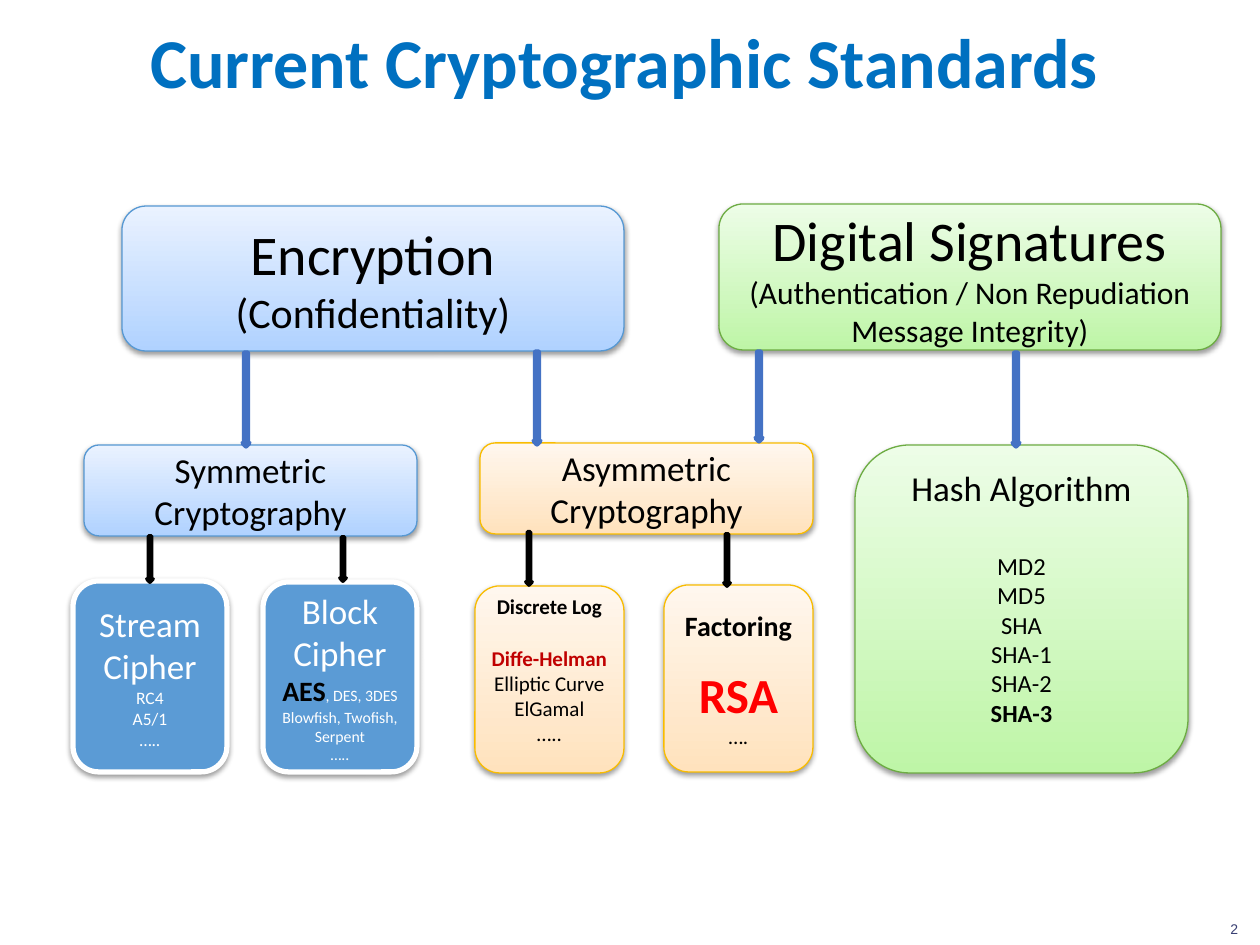
from dataclasses import dataclass

from lxml import etree
from pptx import Presentation
from pptx.dml.color import RGBColor
from pptx.enum.shapes import MSO_SHAPE
from pptx.enum.text import MSO_ANCHOR, MSO_AUTO_SIZE, PP_ALIGN
from pptx.oxml.ns import qn
from pptx.util import Emu, Pt

ROUND = MSO_SHAPE.ROUNDED_RECTANGLE
ARROW = MSO_SHAPE.DOWN_ARROW
TOP, MIDDLE = MSO_ANCHOR.TOP, MSO_ANCHOR.MIDDLE
CENTER, LEFT = PP_ALIGN.CENTER, PP_ALIGN.LEFT
FIXED = MSO_AUTO_SIZE.NONE
SCALE = 914400 / 126


@dataclass(frozen=True)
class Theme:
    font: str = "Calibri"
    mono: str = "Arial"
    title: str = "0070C0"
    ink: str = "000000"
    pale: str = "FFFFFF"
    deep: str = "C00000"
    red: str = "FF0000"
    page: str = "394073"
    edge: str = "4472C4"
    # Box styles: bottom fill, top fill, line, line width, side inset, top inset
    blue: tuple = ("B0D2FF", "EAF2FF", "5698D3", 0.75, 8, 4)
    green: tuple = ("BEF5A7", "EDFDE7", "6DAC43", 0.75, 8, 4)
    gold: tuple = ("FFE2BD", "FFF7EE", "F9BC00", 0.75, 8, 4)
    solid: tuple = ("5B9BD5", "5B9BD5", "FFFFFF", 3, 10, 5)
    huge: int = 40
    head: int = 32
    mark: int = 28
    sub: int = 24
    body: int = 20
    note: int = 18
    key: int = 16
    item: int = 14
    small: int = 12
    tiny: int = 10
    least: int = 9
    foot: int = 8


T = Theme()


@dataclass(frozen=True)
class Line:
    text: str
    size: int
    color: str = T.ink
    bold: bool = False
    gap: int = 0
    tail: tuple = ()


def px(num):
    return Emu(round(num * SCALE))


def rgb(code):
    return RGBColor.from_string(code)


def style(run, size, color, bold=False, face=T.font):
    font = run.font
    font.name, font.size, font.bold = face, Pt(size), bold
    font.color.rgb = rgb(color)


def write(frame, lines, align=CENTER, face=T.font):
    frame.word_wrap = True
    frame.text = "\n".join(line.text for line in lines)
    for para, line in zip(frame.paragraphs, lines):
        para.alignment = align
        if line.gap:
            para.space_before = Pt(line.gap)
        style(para.runs[0], line.size, line.color, line.bold, face)
        for part in line.tail:
            run = para.add_run()
            run.text = part.text
            style(run, part.size, part.color, part.bold, face)


def inset(frame, side, top, low):
    frame.margin_left = frame.margin_right = px(side)
    frame.margin_top, frame.margin_bottom = px(top), px(low)


def shade(shape):
    """Give the shape a soft shadow below it."""
    shape.shadow.inherit = False
    effects = shape._element.spPr.find(qn("a:effectLst"))
    outer = etree.SubElement(
        effects, qn("a:outerShdw"), blurRad=str(Pt(3.1)), dist=str(Pt(1.6)),
        dir="5400000", rotWithShape="0")
    color = etree.SubElement(outer, qn("a:srgbClr"), val=T.ink)
    etree.SubElement(color, qn("a:alpha"), val="38000")


def add_box(slide, area, look, lines, extra=0):
    """Draw a rounded box; extra lifts its text by adding room below."""
    low, high, edge, width, side, top = look
    box = slide.shapes.add_shape(ROUND, *map(px, area))
    if low == high:
        box.fill.solid()
        box.fill.fore_color.rgb = rgb(low)
    else:
        box.fill.gradient()
        box.fill.gradient_angle = 90
        for stop, code, place in zip(box.fill.gradient_stops, (low, high), (0, 1)):
            stop.color.rgb, stop.position = rgb(code), place
    box.line.color.rgb, box.line.width = rgb(edge), Pt(width)
    shade(box)
    frame = box.text_frame
    frame.vertical_anchor = MIDDLE
    inset(frame, side, top, top + extra)
    write(frame, lines)


def add_arrow(slide, left, top, height, fill, edge, width):
    arrow = slide.shapes.add_shape(ARROW, px(left), px(top), px(6), px(height))
    arrow.shadow.inherit = False
    arrow.fill.solid()
    arrow.fill.fore_color.rgb = rgb(fill)
    arrow.line.color.rgb, arrow.line.width = rgb(edge), Pt(width)


def add_title(slide, text):
    title = slide.shapes.title
    title.left, title.top, title.width, title.height = map(px, (19, 13, 1210, 73))
    frame = title.text_frame
    frame.auto_size, frame.vertical_anchor = FIXED, TOP
    inset(frame, 10, 5, 5)
    write(frame, [Line(text, T.huge, T.title, True)])


def add_page(slide, text):
    box = slide.shapes.add_textbox(*map(px, (1218, 914, 42, 30)))
    write(box.text_frame, [Line(text, T.foot, T.page)], LEFT, T.mono)


def add_boxes(slide):
    add_box(slide, (122, 206, 502, 145), T.blue, [
        Line("Encryption", T.head), Line("(Confidentiality)", T.sub)])
    add_box(slide, (719, 204, 502, 146), T.green, [
        Line("Digital Signatures", T.head),
        Line("(Authentication / Non Repudiation", T.note),
        Line("Message Integrity)", T.note)])
    add_box(slide, (84, 445, 333, 91), T.blue, [
        Line("Symmetric Cryptography", T.body)])
    add_box(slide, (480, 443, 333, 91), T.gold, [
        Line("Asymmetric Cryptography", T.body)])
    hashes = ["MD2", "MD5", "SHA", "SHA-1", "SHA-2", "SHA-3"]
    add_box(slide, (855, 445, 333, 328), T.green, [
        Line("Hash Algorithm", T.body),
        *(Line(name, T.item, bold=name == hashes[-1],
               gap=24 if name == hashes[0] else 0) for name in hashes)], 24)
    add_box(slide, (73, 581, 154, 191), T.solid, [
        Line("Stream Cipher", T.body, T.pale),
        *(Line(name, T.tiny, T.pale) for name in ("RC4", "A5/1", "…..")),
    ])
    add_box(slide, (263, 582, 154, 190), T.solid, [
        Line("Block Cipher", T.body, T.pale),
        Line("AES", T.key, bold=True,
             tail=(Line(", DES, 3DES", T.least, T.pale),)),
        Line("Blowfish, Twofish, Serpent", T.least, T.pale),
        Line("…..", T.least, T.pale)])
    add_box(slide, (475, 586, 149, 187), T.gold, [
        Line("Discrete Log", T.small, bold=True),
        Line("Diffe-Helman", T.small, T.deep, True, 15),
        *(Line(name, T.small) for name in ("Elliptic Curve", "ElGamal", "….."))],
        19)
    add_box(slide, (664, 585, 149, 187), T.gold, [
        Line("Factoring", T.key, bold=True),
        Line("RSA", T.mark, T.red, True, 13),
        Line("….", T.small)])


def main():
    deck = Presentation()
    deck.slide_width, deck.slide_height = px(1260), px(945)
    slide = deck.slides.add_slide(deck.slide_layouts[5])
    add_title(slide, "Current Cryptographic Standards")
    add_boxes(slide)
    for left, top, height in ((243, 353, 93), (1013, 353, 93),
                              (534, 352, 92), (756, 352, 89)):
        add_arrow(slide, left, top, height, T.title, T.edge, 3)
    for left, top, height in ((147, 536, 46), (340, 537, 44),
                              (526, 532, 53), (724, 534, 52)):
        add_arrow(slide, left, top, height, T.ink, T.ink, 2.25)
    add_page(slide, "2")
    deck.save("out.pptx")


if __name__ == "__main__":
    main()
